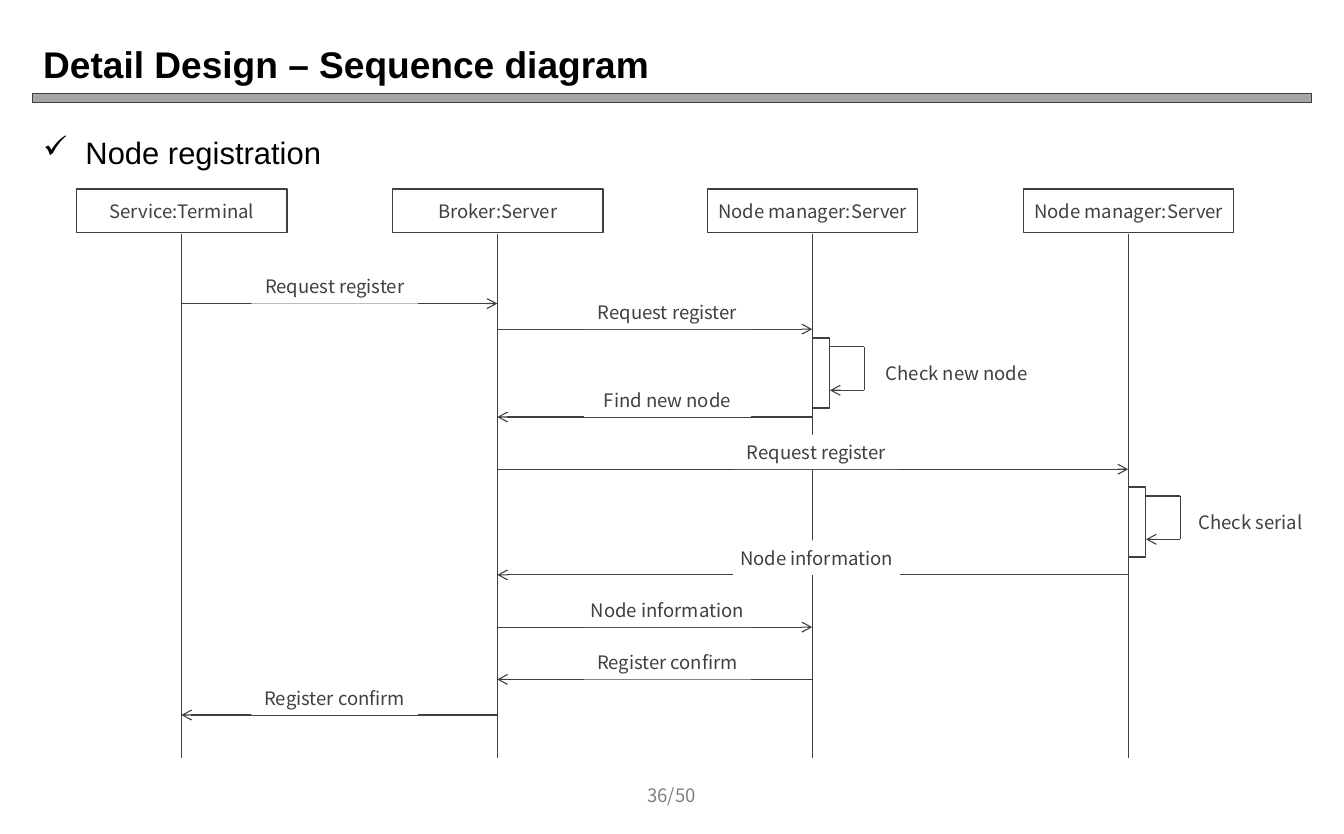
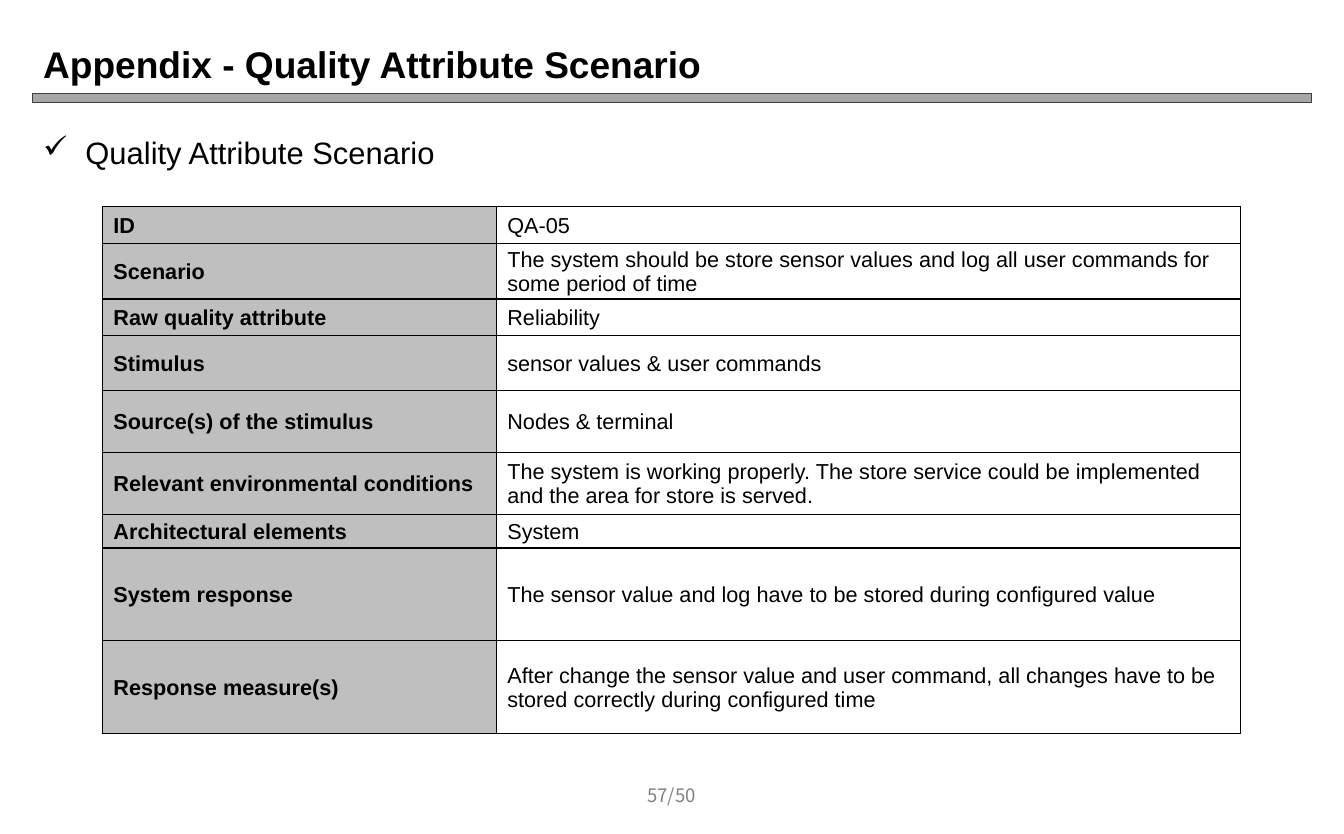
from lxml.etree import SubElement
from pptx import Presentation
from pptx.dml.color import RGBColor
from pptx.enum.shapes import MSO_CONNECTOR, MSO_SHAPE
from pptx.enum.text import MSO_ANCHOR, PP_ALIGN
from pptx.oxml import parse_xml
from pptx.oxml.ns import nsdecls, qn
from pptx.util import Inches, Pt

BLACK = RGBColor(0x00, 0x00, 0x00)
WHITE = RGBColor(0xFF, 0xFF, 0xFF)
INK = RGBColor(0x40, 0x40, 0x40)
FOOTER_GRAY = RGBColor(0x80, 0x80, 0x80)
BAR_GRAY = RGBColor(0xA6, 0xA6, 0xA6)
HEADING_GRAY = RGBColor(0xBF, 0xBF, 0xBF)
SANS = "Arial"
DIAGRAM_FONT = "Noto Sans CJK KR"


def write(frame, text, size=12, font=SANS, color=BLACK, bold=False,
          align=PP_ALIGN.LEFT, anchor=MSO_ANCHOR.MIDDLE, margin=None):
    frame.word_wrap = True
    frame.vertical_anchor = anchor
    if margin is not None:
        frame.margin_left = frame.margin_right = Inches(margin)
        frame.margin_top = frame.margin_bottom = Inches(margin)
    paragraph = frame.paragraphs[0]
    paragraph.alignment = align
    run = paragraph.add_run()
    run.text = text
    run.font.size = Pt(size)
    run.font.name = font
    run.font.bold = bold
    run.font.color.rgb = color
    return paragraph


def add_line(slide, start, end, arrow=False):
    line = slide.shapes.add_connector(
        MSO_CONNECTOR.STRAIGHT, *[Inches(value) for value in (*start, *end)])
    line.line.color.rgb = INK
    line.line.width = Pt(0.75)
    if arrow:
        SubElement(line.line._get_or_add_ln(), qn("a:tailEnd"), type="arrow")
    SubElement(line._element.spPr, qn("a:effectLst"))


presentation = Presentation()
presentation.slide_width = Inches(12.08)
presentation.slide_height = Inches(7.5)

# Shared frame: title, bar, checked heading, page number
PAGES = [
    ("Detail Design – Sequence diagram", "Node registration", "36/50"),
    ("Appendix - Quality Attribute Scenario", "Quality Attribute Scenario", "57/50"),
]
slides = []
for title, heading, page_number in PAGES:
    slide = presentation.slides.add_slide(presentation.slide_layouts[6])
    slides.append(slide)
    bar = slide.shapes.add_shape(MSO_SHAPE.FLOWCHART_PROCESS, Inches(0.29),
                                 Inches(0.84), Inches(11.5), Inches(0.08))
    bar.shadow.inherit = False
    bar.fill.solid()
    bar.fill.fore_color.rgb = BAR_GRAY
    bar.line.color.rgb = INK
    bar.line.width = Pt(0.75)

    title_box = slide.shapes.add_textbox(Inches(0.29), Inches(0.3), Inches(11.5), Inches(0.54))
    write(title_box.text_frame, title, size=24, bold=True)

    heading_box = slide.shapes.add_textbox(Inches(0.29), Inches(1.15), Inches(11.5), Inches(0.5))
    paragraph = write(heading_box.text_frame, heading, size=20, anchor=MSO_ANCHOR.TOP)
    paragraph.space_before = Pt(4)
    properties = paragraph._p.get_or_add_pPr()
    properties.set("marL", str(Inches(0.38)))
    properties.set("indent", str(Inches(-0.38)))
    SubElement(properties, qn("a:buChar"), char="✓")

    footer = slide.shapes.add_textbox(Inches(5.49), Inches(6.95), Inches(1.09), Inches(0.4))
    write(footer.text_frame, page_number, font=DIAGRAM_FONT, color=FOOTER_GRAY,
          align=PP_ALIGN.CENTER)

sequence_slide, scenario_slide = slides

# Sequence diagram: lifelines
TERMINAL, BROKER, MANAGER, NODE = 1.63, 4.47, 7.3, 10.14
PARTICIPANTS = [
    (TERMINAL, "Service:Terminal"),
    (BROKER, "Broker:Server"),
    (MANAGER, "Node manager:Server"),
    (NODE, "Node manager:Server"),
]
boxes = []  # left, top, width, height, text, outlined
for x, name in PARTICIPANTS:
    add_line(sequence_slide, (x, 2.1), (x, 6.82))
    boxes.append((x - 0.94, 1.7, 1.89, 0.39, name, True))

# Messages: sender, receiver, height, left edge of label, label
MESSAGES = [
    (TERMINAL, BROKER, 2.73, 2.26, "Request register"),
    (BROKER, MANAGER, 2.96, 5.25, "Request register"),
    (MANAGER, BROKER, 3.75, 5.25, "Find new node"),
    (BROKER, NODE, 4.22, 6.59, "Request register"),
    (NODE, BROKER, 5.17, 6.59, "Node information"),
    (BROKER, MANAGER, 5.64, 5.25, "Node information"),
    (MANAGER, BROKER, 6.11, 5.25, "Register confirm"),
    (BROKER, TERMINAL, 6.43, 2.26, "Register confirm"),
]
for sender, receiver, y, label_left, label in MESSAGES:
    add_line(sequence_slide, (sender, y), (receiver, y), arrow=True)
    boxes.append((label_left, y - 0.31, 1.5, 0.31, label, False))

# Calls a participant makes to itself
SELF_CALLS = [
    (MANAGER, 3.04, 7.85, 1.5, "Check new node"),
    (NODE, 4.38, 10.69, 1.1, "Check serial"),
]
for x, top, label_left, label_width, label in SELF_CALLS:
    near, far = x + 0.16, x + 0.47
    first, last = top + 0.08, top + 0.47
    add_line(sequence_slide, (near, first), (far, first))
    add_line(sequence_slide, (far, first), (far, last))
    add_line(sequence_slide, (far, last), (near, last), arrow=True)
    boxes.append((x, top, 0.16, 0.63, "", True))
    boxes.append((label_left, top + 0.16, label_width, 0.31, label, False))

# Boxes and labels lie over the lines
for left, top, width, height, text, outlined in boxes:
    box = sequence_slide.shapes.add_shape(MSO_SHAPE.RECTANGLE, Inches(left), Inches(top),
                                          Inches(width), Inches(height))
    box.shadow.inherit = False
    box.fill.solid()
    box.fill.fore_color.rgb = WHITE
    if outlined:
        box.line.color.rgb = INK
        box.line.width = Pt(0.75)
    else:
        box.line.fill.background()
    if text:
        write(box.text_frame, text, font=DIAGRAM_FONT, color=INK,
              align=PP_ALIGN.CENTER, margin=0.04)

# Scenario table: row height, heading, value
ROWS = [
    (0.33, "ID", "QA-05"),
    (0.5, "Scenario", "The system should be store sensor values and log all user "
     "commands for some period of time"),
    (0.33, "Raw quality attribute", "Reliability"),
    (0.49, "Stimulus", "sensor values & user commands"),
    (0.56, "Source(s) of the stimulus", "Nodes & terminal"),
    (0.56, "Relevant environmental conditions", "The system is working properly. "
     "The store service could be implemented and the area for store is served."),
    (0.3, "Architectural elements", "System"),
    (0.83, "System response",
     "The sensor value and log have to be stored during configured value"),
    (0.84, "Response measure(s)", "After change the sensor value and user command, "
     "all changes have to be stored correctly during configured time"),
]
table = scenario_slide.shapes.add_table(len(ROWS), 2, Inches(0.92), Inches(1.86),
                                        Inches(10.23), Inches(4.74)).table
table.first_row = False
table.horz_banding = False
for column, width in zip(table.columns, (3.54, 6.69)):
    column.width = Inches(width)
for row, (height, *texts) in zip(table.rows, ROWS):
    row.height = Inches(height)
    for index, (cell, text) in enumerate(zip(row.cells, texts)):
        is_heading = index == 0
        write(cell.text_frame, text, size=14, bold=is_heading)
        cell.vertical_anchor = MSO_ANCHOR.MIDDLE
        cell.margin_left = cell.margin_right = Inches(0.1)
        cell.margin_top = Inches(0.01)
        cell.margin_bottom = Inches(0)
        if is_heading:
            cell.fill.solid()
            cell.fill.fore_color.rgb = HEADING_GRAY
        else:
            cell.fill.background()
        for position, side in enumerate("LRTB"):
            cell._tc.get_or_add_tcPr().insert(position, parse_xml(
                f'<a:ln{side} {nsdecls("a")} w="{Pt(1)}"><a:solidFill>'
                f'<a:srgbClr val="{BLACK}"/></a:solidFill></a:ln{side}>'))

presentation.save("out.pptx")
